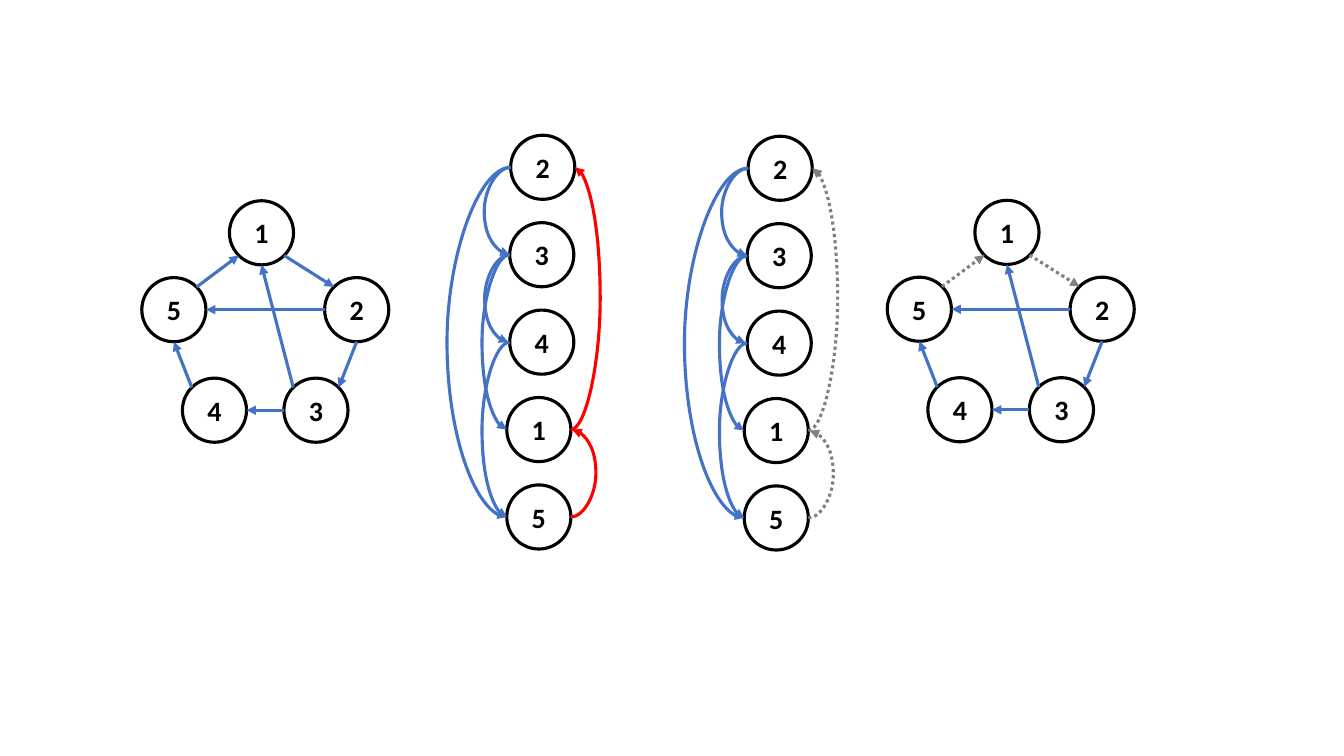
"""Directed graph and its vertex ordering, before and after dropping back edges."""
from math import cos, radians, sin

from lxml.etree import SubElement
from pptx import Presentation
from pptx.dml.color import RGBColor
from pptx.enum.dml import MSO_LINE
from pptx.enum.shapes import MSO_CONNECTOR as LINK, MSO_SHAPE
from pptx.enum.text import MSO_ANCHOR, PP_ALIGN
from pptx.oxml.ns import qn
from pptx.util import Pt

COLORS = {"ink": "000000", "paper": "FFFFFF", "forward": "4472C4",
          "back": "FF0000", "dropped": "808080"}
DIAMETER = 45.8
RADIUS = DIAMETER / 2
LEVEL_GAP = 62.45
BACK_EDGES = {(5, 1), (1, 2)}

pentagon = {1: (186.8, 166.3), 2: (254.8, 221.2), 5: (124.2, 221.2),
            4: (153.2, 293), 3: (225.7, 293)}
ordering_x = {2: 387.7, 3: 387, 4: 387, 1: 384.9, 5: 384.9}
ordering = {vertex: (x, 119.5 + level * LEVEL_GAP)
            for level, (vertex, x) in enumerate(ordering_x.items())}

# Each edge: source, target, angle at source, angle at target, bulge
pentagon_edges = [(5, 1, -45, 135, 0), (1, 2, 45, -135, 0), (2, 3, 90, -45, 0),
                  (3, 1, -135, 90, 0), (3, 4, 180, 0, 0), (4, 5, -135, 90, 0),
                  (2, 5, 180, 0, 0)]
ordering_edges = [(5, 1, 0, 0, 18), (1, 2, 0, 0, 20.9), (2, 3, 180, 180, -18.7),
                  (3, 4, 180, 180, -18), (4, 5, 180, 180, -19.8),
                  (3, 1, 180, 180, -19.8), (2, 5, 180, 180, -45.4)]

panels = [(pentagon, pentagon_edges, 0, 0, "forward"),
          (ordering, ordering_edges, 0, 0, "back"),
          (ordering, ordering_edges, 169.6, 0.7, "dropped"),
          (pentagon, pentagon_edges, 532.5, -0.3, "dropped")]


def color(name):
    return RGBColor.from_string(COLORS[name])


def rim_point(center, angle):
    return (center[0] + RADIUS * cos(radians(angle)),
            center[1] + RADIUS * sin(radians(angle)))


prs = Presentation()
prs.slide_width, prs.slide_height = Pt(960), Pt(540)
slide = prs.slides.add_slide(prs.slide_layouts[6])

for vertices, edges, dx, dy, back_color in panels:
    graph = slide.shapes.add_group_shape().shapes
    centers = {vertex: (x + dx, y + dy) for vertex, (x, y) in vertices.items()}

    for vertex, (x, y) in centers.items():
        node = graph.add_shape(MSO_SHAPE.OVAL, Pt(x - RADIUS), Pt(y - RADIUS),
                               Pt(DIAMETER), Pt(DIAMETER))
        node.shadow.inherit = False
        node.fill.solid()
        node.fill.fore_color.rgb = color("paper")
        node.line.color.rgb = color("ink")
        node.line.width = Pt(2.25)
        node.text_frame.vertical_anchor = MSO_ANCHOR.MIDDLE
        label = node.text_frame.paragraphs[0]
        label.text = str(vertex)
        label.alignment = PP_ALIGN.CENTER
        label.font.name = "Calibri"
        label.font.size = Pt(20)
        label.font.bold = True
        label.font.color.rgb = color("ink")

    for source, target, leave, arrive, bulge in edges:
        x1, y1 = rim_point(centers[source], leave)
        x2, y2 = rim_point(centers[target], arrive)
        if bulge and abs(x2 - x1) < 0.1:
            x2 += 1 if bulge > 0 else -1
        edge = graph.add_connector(LINK.CURVE if bulge else LINK.STRAIGHT,
                                   Pt(x1), Pt(y1), Pt(x2), Pt(y2))
        is_back = (source, target) in BACK_EDGES
        edge.line.color.rgb = color(back_color if is_back else "forward")
        edge.line.width = Pt(2.25)
        if is_back and back_color == "dropped":
            edge.line.dash_style = MSO_LINE.ROUND_DOT
        properties = edge.element.spPr
        SubElement(properties.find(qn("a:ln")), qn("a:tailEnd"), type="triangle")
        SubElement(properties, qn("a:effectLst"))
        if bulge:
            bend = round(bulge / (x2 - x1) * 100000)
            SubElement(properties.find(".//" + qn("a:avLst")), qn("a:gd"),
                       name="adj1", fmla=f"val {bend}")

prs.save("out.pptx")
